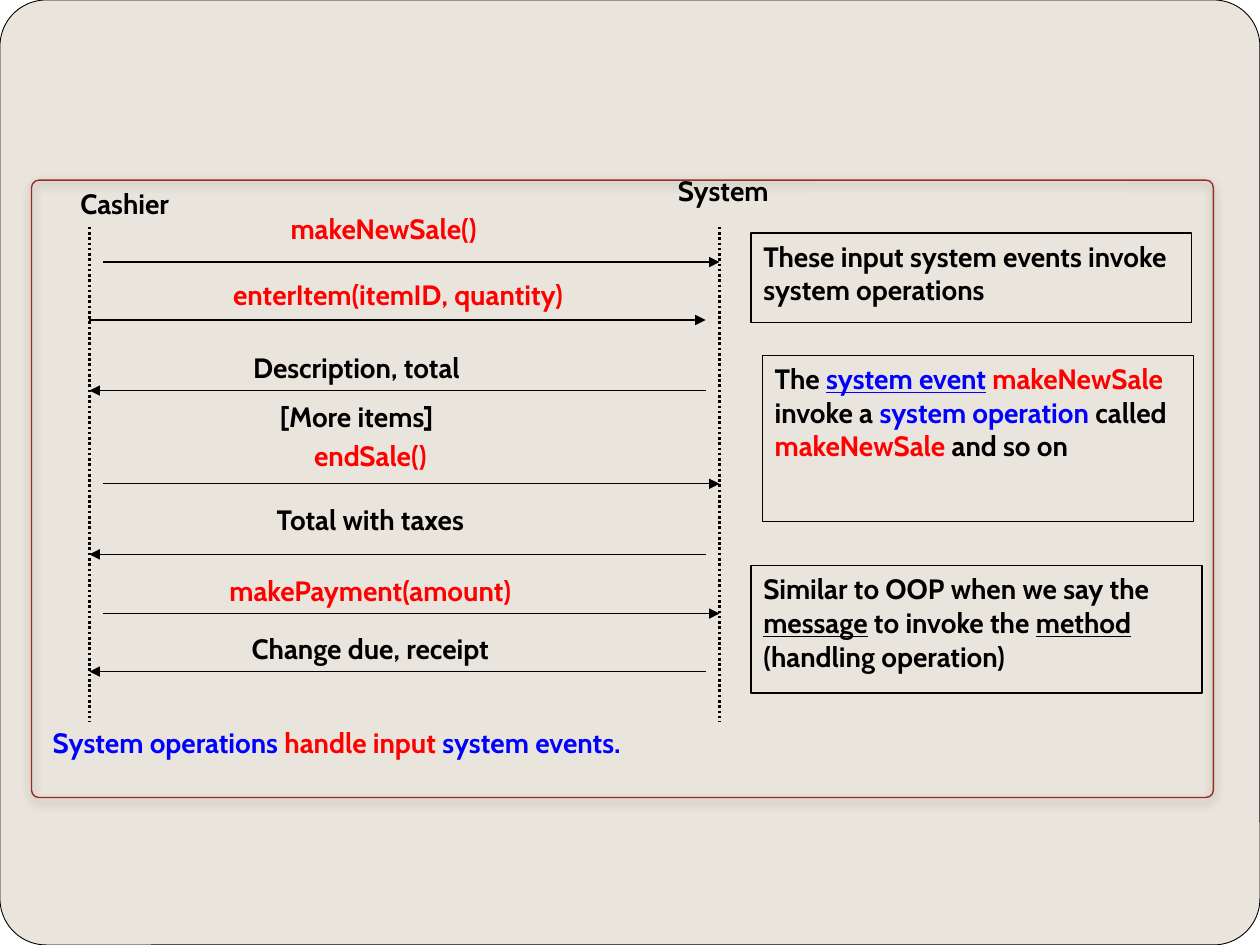
from lxml import etree
from pptx import Presentation
from pptx.dml.color import RGBColor
from pptx.enum.dml import MSO_LINE
from pptx.enum.shapes import MSO_CONNECTOR, MSO_SHAPE
from pptx.enum.text import MSO_ANCHOR, PP_ALIGN
from pptx.oxml import parse_xml
from pptx.oxml.ns import nsdecls, qn
from pptx.util import Inches, Pt

RECTANGLE, ROUNDED = MSO_SHAPE.RECTANGLE, MSO_SHAPE.ROUNDED_RECTANGLE
STRAIGHT = MSO_CONNECTOR.STRAIGHT
DOTTED = MSO_LINE.ROUND_DOT
LEFT, CENTER, TOP = PP_ALIGN.LEFT, PP_ALIGN.CENTER, MSO_ANCHOR.TOP

WHITE = RGBColor(0xFF, 0xFF, 0xFF)
SAND = RGBColor(0xE9, 0xE5, 0xDC)
BLACK = RGBColor(0x00, 0x00, 0x00)
RED = RGBColor(0xFF, 0x00, 0x00)
BLUE = RGBColor(0x00, 0x00, 0xFF)
BRICK = RGBColor(0x9B, 0x2D, 0x1F)

TEXT_FORMAT = {"name": "Cabin", "size": Pt(16), "bold": True}
LABEL_HEIGHT = 0.41

# Positions are relative to the diagram box.
# Message: text, label left, top and width, arrow height, start and end
NEAR, FAR = 0.46, 5.35          # arrow ends for replies
INNER, SYSTEM = 0.57, 5.46      # arrow ends for requests
MESSAGES = [
    ("makeNewSale()", RED, 1.46, 0.2, 2.67, 0.65, INNER, SYSTEM),
    ("enterItem(itemID, quantity)", RED, 1.13, 0.72, 3.56, 1.11, NEAR, FAR),
    ("Description, total", BLACK, 0.8, 1.3, 3.56, 1.67, FAR, NEAR),
    ("[More items]", BLACK, 0.8, 1.69, 3.56, None, None, None),
    ("endSale()", RED, 0.91, 2.0, 3.56, 2.41, INNER, SYSTEM),
    ("Total with taxes", BLACK, 0.91, 2.51, 3.56, 2.97, FAR, NEAR),
    ("makePayment(amount)", RED, 0.91, 3.07, 3.56, 3.44, INNER, SYSTEM),
    ("Change due, receipt", BLACK, 0.91, 3.53, 3.56, 3.9, FAR, NEAR),
]

# Note: left, top, width, height, runs of (text, colour, underlined)
NOTES = [
    (5.71, 0.42, 3.5, 0.71,
     [("These input system events invoke system operations", BLACK, False)]),
    (5.8, 1.39, 3.42, 1.32,
     [("The ", BLACK, False), ("system event", BLUE, True), (" ", BLACK, False),
      ("makeNewSale", RED, False), (" invoke a ", BLACK, False),
      ("system operation", BLUE, False), (" called ", BLACK, False),
      ("makeNewSale", RED, False), (" and so on", BLACK, False)]),
    (5.71, 3.06, 3.58, 1.01,
     [("Similar to OOP when we say the ", BLACK, False), ("message", BLACK, True),
      (" to invoke the ", BLACK, False), ("method", BLACK, True),
      (" (handling operation)", BLACK, False)]),
]

SUMMARY = [("System operations ", BLUE, False), ("handle input", RED, False),
           (" system events.", BLUE, False)]


def write_runs(shape, runs, alignment):
    frame = shape.text_frame
    frame.word_wrap = True
    frame.vertical_anchor = TOP
    paragraph = frame.paragraphs[0]
    paragraph.alignment = alignment
    for text, color, underlined in runs:
        run = paragraph.add_run()
        run.text = text
        for name, value in TEXT_FORMAT.items():
            setattr(run.font, name, value)
        run.font.color.rgb = color
        if underlined:
            run.font.underline = True


def add_label(slide, left, top, width, runs, alignment=CENTER):
    label = slide.shapes.add_textbox(
        Inches(left), Inches(top), Inches(width), Inches(LABEL_HEIGHT))
    write_runs(label, runs, alignment)


def add_box(slide, kind, box, fill=None, line=None, weight=0.75, corner=None):
    shape = slide.shapes.add_shape(kind, *(Inches(length) for length in box))
    shape.shadow.inherit = False
    if corner is not None:
        shape.adjustments[0] = corner
    if fill is None:
        shape.fill.background()
    else:
        shape.fill.solid()
        shape.fill.fore_color.rgb = fill
    if line is None:
        shape.line.fill.background()
    else:
        shape.line.color.rgb = line
        shape.line.width = Pt(weight)
    return shape


def add_line(slide, start, end, weight=0.75, dash=None, arrow=False):
    line = slide.shapes.add_connector(
        STRAIGHT, *(Inches(length) for length in (*start, *end)))
    line.line.color.rgb = BLACK
    line.line.width = Pt(weight)
    if dash is not None:
        line.line.dash_style = dash
    properties = line._element.spPr
    if arrow:
        etree.SubElement(properties.find(qn("a:ln")), qn("a:tailEnd"), type="triangle")
    etree.SubElement(properties, qn("a:effectLst"))


def add_background(slide, box):
    add_box(slide, RECTANGLE, box, fill=WHITE)
    add_box(slide, ROUNDED, box, fill=SAND, line=BLACK, weight=0.5, corner=0.049)


def add_frame(slide, box):
    frame = add_box(slide, ROUNDED, box, line=BRICK, weight=0.79, corner=0.012)
    effects = frame._element.spPr.find(qn("a:effectLst"))
    effects.append(parse_xml(
        f'<a:outerShdw {nsdecls("a")} blurRad="{Pt(5)}" dist="{Pt(2.4)}" '
        'dir="5400000" rotWithShape="0"><a:srgbClr val="000000">'
        '<a:alpha val="45000"/></a:srgbClr></a:outerShdw>'))


def add_notes(slide, box):
    left, top = box[:2]
    for x, y, width, height, runs in NOTES:
        note = add_box(slide, RECTANGLE, (left + x, top + y, width, height), line=BLACK)
        write_runs(note, runs, LEFT)


def add_sequence(slide, box):
    left, top = box[:2]
    # Participants and their lifelines
    for name, x, y, lifeline in (("Cashier", 0.13, 0, NEAR), ("System", 4.88, -0.1, SYSTEM)):
        add_label(slide, left + x, top + y, 1.22, [(name, BLACK, False)])
        add_line(slide, (left + lifeline, top + 0.37), (left + lifeline, top + 4.3),
                 weight=1.5, dash=DOTTED)
    # Messages and their arrows
    for text, color, x, y, width, arrow_y, start, end in MESSAGES:
        add_label(slide, left + x, top + y, width, [(text, color, False)])
        if arrow_y is not None:
            add_line(slide, (left + start, top + arrow_y), (left + end, top + arrow_y),
                     arrow=True)
    # Summary under the lifelines
    add_label(slide, left + 0.07, top + 4.28, 7.72, SUMMARY, LEFT)


def main():
    presentation = Presentation()
    presentation.slide_width, presentation.slide_height = Inches(10), Inches(7.5)
    slide = presentation.slides.add_slide(presentation.slide_layouts[6])
    slide.background.fill.solid()
    slide.background.fill.fore_color.rgb = SAND
    diagram = (0.25, 1.43, 9.38, 4.9)
    add_background(slide, (0, 0, 10, 7.5))
    add_frame(slide, diagram)
    add_notes(slide, diagram)
    add_sequence(slide, diagram)
    presentation.save("out.pptx")


if __name__ == "__main__":
    main()
